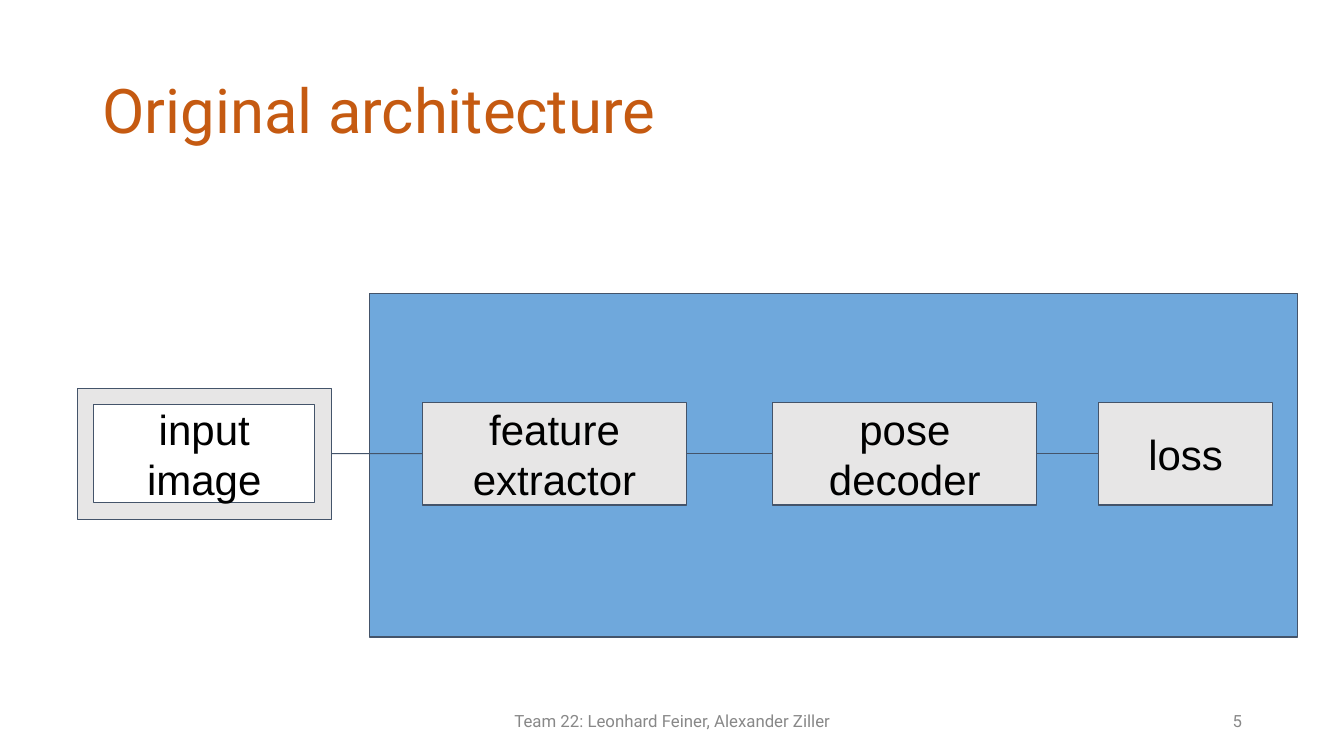
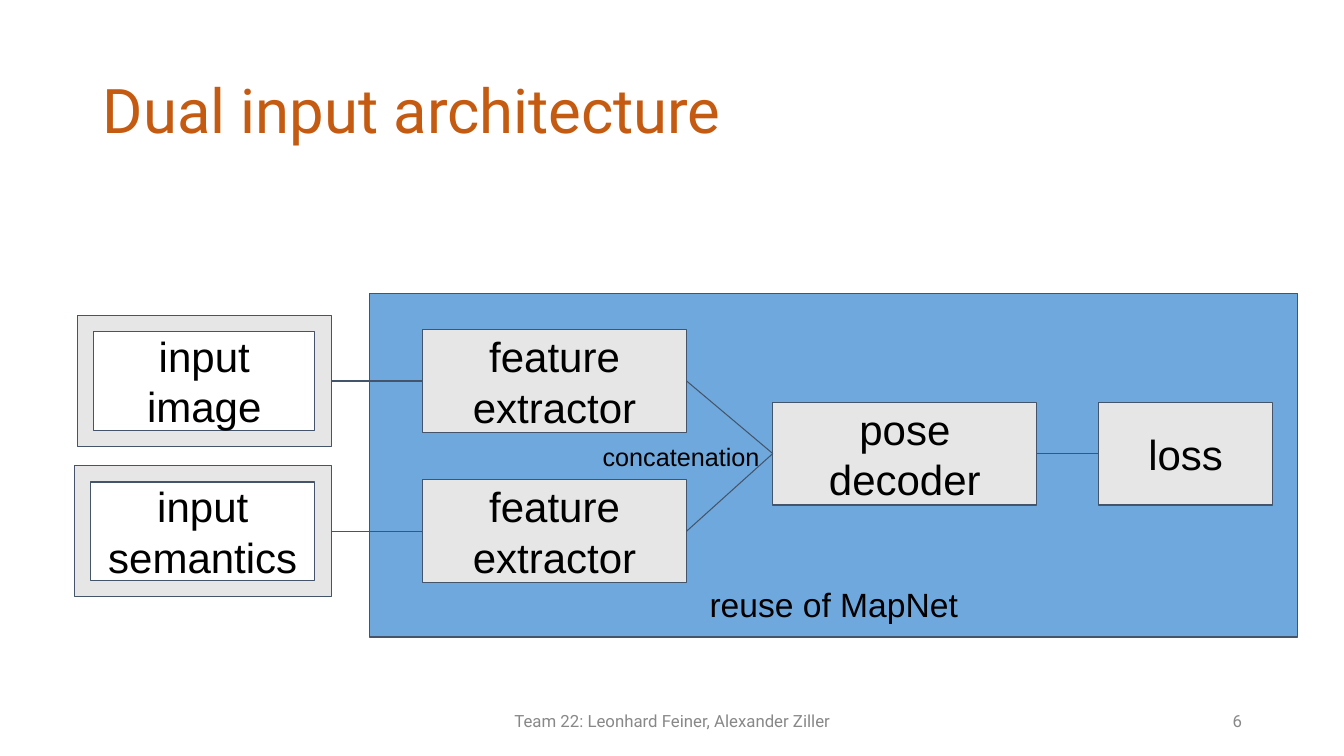
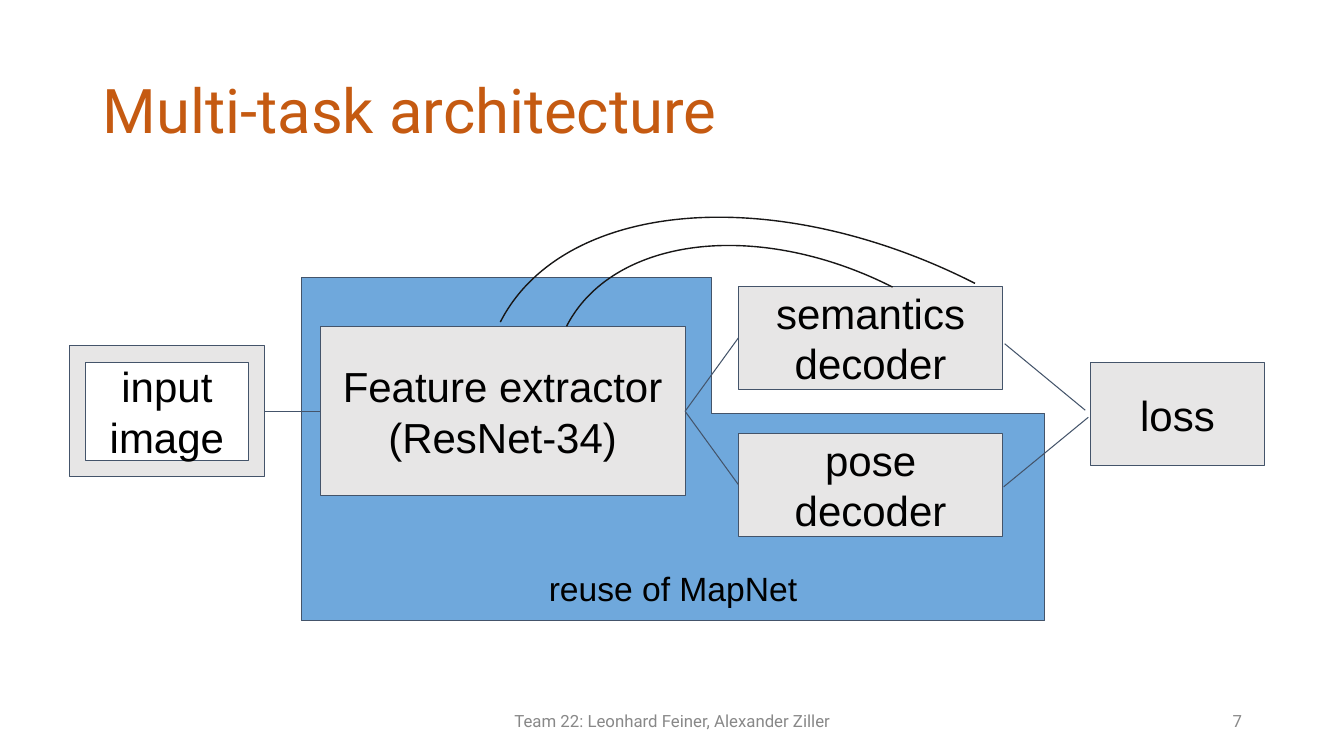
from dataclasses import dataclass

from lxml import etree
from pptx import Presentation
from pptx.dml.color import RGBColor
from pptx.enum.shapes import MSO_CONNECTOR, MSO_SHAPE
from pptx.enum.text import MSO_ANCHOR, PP_ALIGN
from pptx.oxml.ns import qn
from pptx.util import Inches, Pt

RECTANGLE = MSO_SHAPE.RECTANGLE
FRAME = MSO_SHAPE.FRAME
ARC = MSO_SHAPE.ARC
STRAIGHT = MSO_CONNECTOR.STRAIGHT
MIDDLE = MSO_ANCHOR.MIDDLE
BOTTOM = MSO_ANCHOR.BOTTOM
LEFT = PP_ALIGN.LEFT
CENTER = PP_ALIGN.CENTER
RIGHT = PP_ALIGN.RIGHT

ORANGE = RGBColor(0xC5, 0x5A, 0x11)
BLUE = RGBColor(0x6F, 0xA8, 0xDC)
LIGHT_GRAY = RGBColor(0xE7, 0xE6, 0xE6)
GRAY = RGBColor(0x88, 0x88, 0x88)
SLATE = RGBColor(0x44, 0x54, 0x6A)
INK = RGBColor(0x18, 0x17, 0x17)
BLACK = RGBColor(0, 0, 0)

SLIDE_WIDTH = Inches(13.33)
SLIDE_HEIGHT = Inches(7.5)
HEADING_FONT = "Roboto"
DIAGRAM_FONT = "Arial"
FOOTER = "Team 22: Leonhard Feiner, Alexander Ziller"
REUSE = "reuse of MapNet"
FIRST_NUMBER = 5

BOX_WIDTH, BOX_HEIGHT = 26.2, 10.2
LOSS_WIDTH = 17.3
FRAME_HEIGHT = 13
EXTRACTOR_LEFT, DECODER_LEFT, LOSS_LEFT = 35.25, 70, 102.3
MAIN_ROW = 30
PANEL_OUTLINE = ((30, 14.1), (122.1, 14.1), (122.1, 48.2), (30, 48.2))
CORNER_OUTLINE = ((23.2, 12.5), (63.9, 12.5), (63.9, 26), (97, 26),
                  (97, 46.6), (23.2, 46.6))


@dataclass
class Grid:
    left: float
    top: float
    width: float
    height: float
    columns: float
    rows: float

    def point(self, column, row):
        return (int(SLIDE_WIDTH * (self.left + self.width * column / self.columns)),
                int(SLIDE_HEIGHT * (self.top + self.height * row / self.rows)))

    def area(self, column, row, columns, rows):
        left, top = self.point(column, row)
        right, bottom = self.point(column + columns, row + rows)
        return left, top, right - left, bottom - top


PAGE = Grid(0, 0, 1, 1, 100, 100)
DIAGRAM = Grid(0.05, 0.2, 0.9, 0.68, 120, 51)


def write(shape, text, size, font=DIAGRAM_FONT, color=BLACK, align=CENTER,
          anchor=MIDDLE, inset=0.1, spacing=None):
    frame = shape.text_frame
    frame.text = text
    frame.word_wrap = True
    frame.vertical_anchor = anchor
    frame.margin_left = frame.margin_right = Inches(0.1)
    frame.margin_top = frame.margin_bottom = Inches(inset)
    for paragraph in frame.paragraphs:
        paragraph.alignment = align
        paragraph.line_spacing = spacing
        for run in paragraph.runs:
            run.font.size = Pt(size)
            run.font.name = font
            run.font.color.rgb = color


def add_label(slide, grid, area, text, size, **style):
    label = slide.shapes.add_textbox(*grid.area(*area))
    write(label, text, size, **style)


def paint(shape, fill, line=SLATE, weight=0.75):
    shape.shadow.inherit = False
    if fill is None:
        shape.fill.background()
    else:
        shape.fill.solid()
        shape.fill.fore_color.rgb = fill
    shape.line.color.rgb = line
    shape.line.width = Pt(weight)


def add_block(slide, grid, text, left, middle, width=BOX_WIDTH, height=BOX_HEIGHT,
              kind=RECTANGLE):
    area = grid.area(left, middle - height / 2, width, height)
    block = slide.shapes.add_shape(kind, *area)
    paint(block, LIGHT_GRAY)
    write(block, text, 30)
    return block


def add_input(slide, grid, text, left, middle, width):
    return add_block(slide, grid, text, left, middle, width, FRAME_HEIGHT, FRAME)


def add_line(slide, start, end):
    line = slide.shapes.add_connector(STRAIGHT, *start, *end)
    line.line.color.rgb = SLATE
    line.line.width = Pt(0.75)
    etree.SubElement(line.element.spPr, qn("a:effectLst"))
    return line


def link(slide, source, target):
    line = add_line(slide, (0, 0), (0, 0))
    line.begin_connect(source, 3)
    line.end_connect(target, 1)


def add_panel(slide, grid, outline, text=""):
    if len(outline) == 4:
        left, top = grid.point(*outline[0])
        right, bottom = grid.point(*outline[2])
        panel = slide.shapes.add_shape(RECTANGLE, left, top, right - left, bottom - top)
    else:
        start, *others = [grid.point(*corner) for corner in outline]
        builder = slide.shapes.build_freeform(*start)
        builder.add_line_segments(others, close=True)
        panel = builder.convert_to_shape()
    paint(panel, BLUE)
    write(panel, text, 24, anchor=BOTTOM, inset=0.13)


def add_output(slide, grid):
    decoder = add_block(slide, grid, "pose decoder", DECODER_LEFT, MAIN_ROW)
    loss = add_block(slide, grid, "loss", LOSS_LEFT, MAIN_ROW, LOSS_WIDTH)
    link(slide, decoder, loss)
    return decoder


def add_branch(slide, grid, text, left, middle, width, decoder):
    source = add_input(slide, grid, text, left, middle, width)
    extractor = add_block(slide, grid, "feature extractor", EXTRACTOR_LEFT, middle)
    link(slide, source, extractor)
    link(slide, extractor, decoder)


def draw_original(slide, grid):
    add_panel(slide, grid, PANEL_OUTLINE)
    decoder = add_output(slide, grid)
    add_branch(slide, grid, "input\nimage", 1, MAIN_ROW, 25.2, decoder)


def draw_dual_input(slide, grid):
    add_panel(slide, grid, PANEL_OUTLINE, REUSE)
    decoder = add_output(slide, grid)
    add_branch(slide, grid, "input\nimage", 1, 22.8, 25.2, decoder)
    add_branch(slide, grid, "input\nsemantics", 0.7, 37.7, 25.5, decoder)
    add_label(slide, grid, (51.4, 28, 19, 4.6), "concatenation", 18, inset=0.05)


def draw_multi_task(slide, grid):
    add_panel(slide, grid, CORNER_OUTLINE, REUSE)

    source = add_input(slide, grid, "input\nimage", 0.2, 25.8, 19.4)
    extractor = add_block(slide, grid, "Feature extractor\n(ResNet-34)",
                          25.1, 25.8, 36.2, 16.8)
    link(slide, source, extractor)
    for text, middle in (("semantics decoder", 18.5), ("pose decoder", 33.1)):
        decoder = add_block(slide, grid, text, 66.6, middle)
        link(slide, extractor, decoder)

    add_block(slide, grid, "loss", 101.5, 26.1, LOSS_WIDTH)
    for start, end in (((93, 19.1), (101, 25.7)), ((92.9, 33.3), (101.3, 26.4))):
        add_line(slide, grid.point(*start), grid.point(*end))
    for area in ((55.5, 2.6, 36.3, 54.1), (54, -5, 49.6, 80.4)):
        arc = slide.shapes.add_shape(ARC, *grid.area(*area))
        paint(arc, None, INK, 1)
        arc.rotation = 297


def add_page_text(slide, title, number):
    add_label(slide, PAGE, (6.9, 5.33, 86.25, 19.33), title, 44, font=HEADING_FONT,
              color=ORANGE, align=LEFT, inset=0.05, spacing=0.9)
    for area, text, align in (((33.15, 92.67, 33.75, 5.33), FOOTER, CENTER),
                              ((70.65, 92.67, 22.5, 5.33), str(number), RIGHT)):
        add_label(slide, PAGE, area, text, 12, font=HEADING_FONT, color=GRAY,
                  align=align, inset=0.05)


def main():
    presentation = Presentation()
    presentation.slide_width = SLIDE_WIDTH
    presentation.slide_height = SLIDE_HEIGHT
    pages = (
        ("Original architecture", draw_original),
        ("Dual input architecture", draw_dual_input),
        ("Multi-task architecture", draw_multi_task),
    )
    for number, (title, draw) in enumerate(pages, FIRST_NUMBER):
        slide = presentation.slides.add_slide(presentation.slide_layouts[6])
        draw(slide, DIAGRAM)
        add_page_text(slide, title, number)
    presentation.save("out.pptx")


if __name__ == "__main__":
    main()
